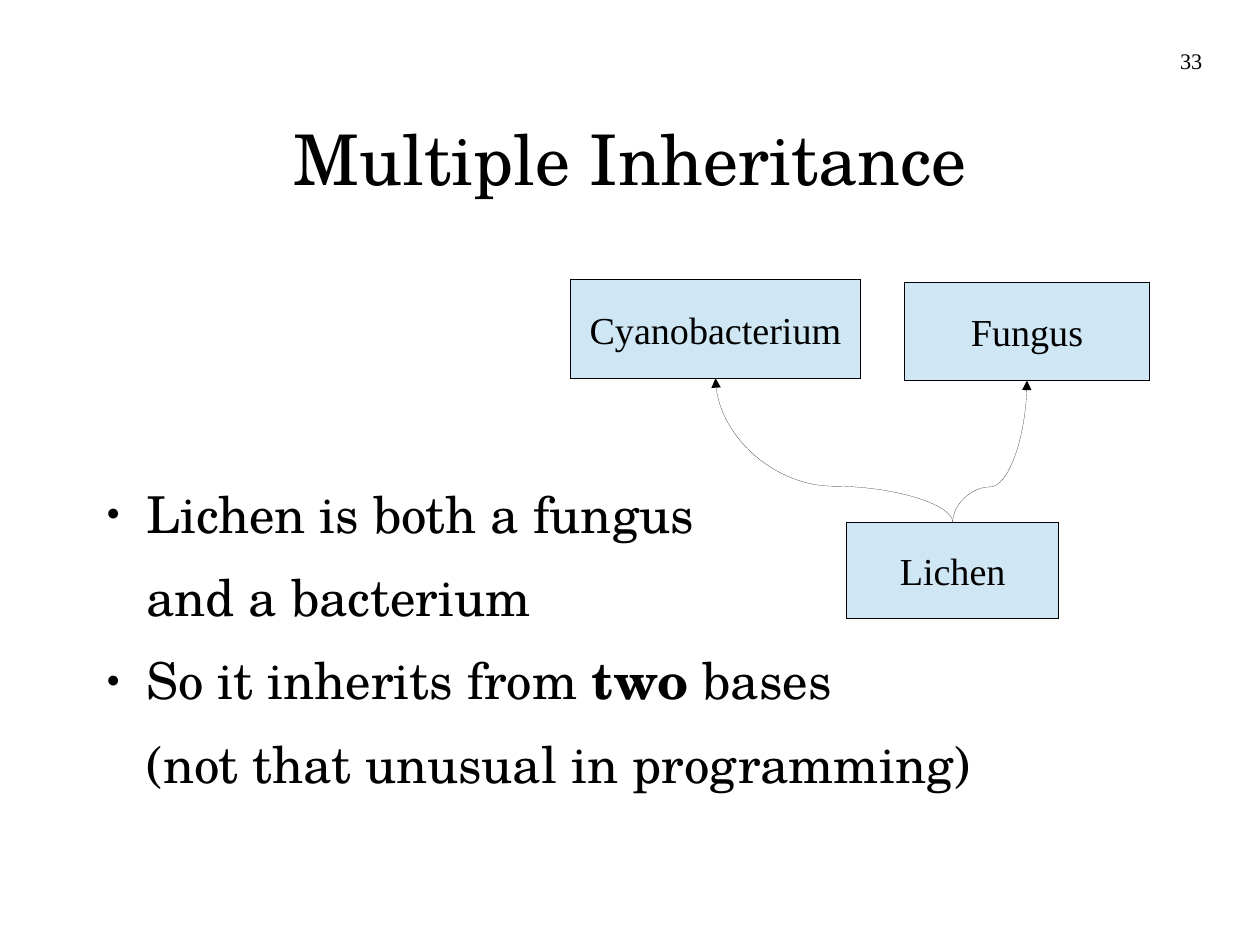
from lxml import etree
from pptx import Presentation
from pptx.dml.color import RGBColor
from pptx.enum import shapes, text
from pptx.oxml import ns
from pptx.util import Inches, Pt

COLORS = {"ink": "000000", "box": "CFE7F5"}
SERIF, SCHOLA = "Times New Roman", "TeX Gyre Schola"
CM_PER_INCH = 2.54
BULLETS = [
    (True, [("Lichen is both a fungus", False)]),
    (False, [("and a bacterium", False)]),
    (True, [("So it inherits from ", False), ("two", True), (" bases", False)]),
    (False, [("(not that unusual in programming)", False)]),
]


def color(name):
    return RGBColor.from_string(COLORS[name])


def add_element(parent, tag, **attributes):
    return etree.SubElement(parent, ns.qn(tag), attributes)


def place(shape, left, top, width, height):
    shape.left, shape.top = Inches(left), Inches(top)
    shape.width, shape.height = Inches(width), Inches(height)


def prepare_frame(shape, anchor=text.MSO_ANCHOR.TOP, wrap=True):
    frame = shape.text_frame
    frame.margin_left = frame.margin_top = frame.margin_right = frame.margin_bottom = 0
    frame.vertical_anchor = anchor
    frame.word_wrap = wrap
    frame.auto_size = text.MSO_AUTO_SIZE.NONE
    return frame


def set_font(paragraph, name, size):
    font = paragraph.font
    font.name, font.size = name, Pt(size)
    font.color.rgb = color("ink")


def write_line(frame, words, name, size, alignment):
    paragraph = frame.paragraphs[0]
    paragraph.text = words
    paragraph.alignment = alignment
    set_font(paragraph, name, size)


def set_hairline(shape):
    """Set the zero width in the XML, as line.width leaves a zero out."""
    shape.line.color.rgb = color("ink")
    line = shape.element.spPr.find(ns.qn("a:ln"))
    line.set("w", "0")
    return line


def set_bullet(paragraph, bulleted):
    """Give the hanging indent, with a small dot or without one."""
    properties = paragraph._p.get_or_add_pPr()
    properties.set("marL", str(Inches(0.47)))
    properties.set("indent", str(Inches(-0.35 if bulleted else 0)))
    if bulleted:
        add_element(add_element(properties, "a:buClr"), "a:srgbClr", val=COLORS["ink"])
        add_element(properties, "a:buSzPct", val="45000")
        add_element(properties, "a:buChar", char="●")
    else:
        add_element(properties, "a:buNone")


def fill_body(body):
    frame = prepare_frame(body)
    for index, (bulleted, runs) in enumerate(BULLETS):
        paragraph = frame.add_paragraph() if index else frame.paragraphs[0]
        set_bullet(paragraph, bulleted)
        paragraph.space_before, paragraph.space_after = Pt(0), Pt(14.1)
        set_font(paragraph, SCHOLA, 32)
        for words, bold in runs:
            run = paragraph.add_run()
            run.text = words
            if bold:
                run.font.bold = True


def add_class_box(slide, label, *bounds):
    box = slide.shapes.add_shape(shapes.MSO_SHAPE.RECTANGLE, *map(Inches, bounds))
    box.shadow.inherit = False
    box.fill.solid()
    box.fill.fore_color.rgb = color("box")
    set_hairline(box)
    frame = prepare_frame(box, text.MSO_ANCHOR.MIDDLE, wrap=False)
    write_line(frame, label, SERIF, 24, text.PP_ALIGN.CENTER)
    return box


def add_inheritance_arrow(slide, child, base):
    """Curve from the top of child up to the bottom of base, turned by 270 degrees."""
    start_x, start_y = child.left + child.width // 2, child.top
    end_x, end_y = base.left + base.width // 2, base.top + base.height
    middle_x, middle_y = (start_x + end_x) // 2, (start_y + end_y) // 2
    rise, shift = (start_y - end_y) // 2, (start_x - end_x) // 2

    arrow = slide.shapes.add_connector(shapes.MSO_CONNECTOR.CURVE, 0, 0, 0, 0)
    arrow.begin_connect(child, 0)
    arrow.end_connect(base, 2)
    arrow.begin_x, arrow.begin_y = middle_x - rise, middle_y + shift
    arrow.end_x, arrow.end_y = middle_x + rise, middle_y - shift
    properties = arrow.element.spPr
    properties.find(ns.qn("a:xfrm")).set("rot", str(270 * 60000))
    adjustments = properties.find(ns.qn("a:prstGeom")).find(ns.qn("a:avLst"))
    add_element(adjustments, "a:gd", name="adj1", fmla="val 25000")

    add_element(set_hairline(arrow), "a:tailEnd", type="triangle")
    add_element(properties, "a:effectLst")


def main():
    presentation = Presentation()
    presentation.slide_width = Inches(28 / CM_PER_INCH)
    presentation.slide_height = Inches(21 / CM_PER_INCH)
    slide = presentation.slides.add_slide(presentation.slide_layouts[1])

    title, body = slide.placeholders
    place(title, 0.81, 0.69, 9.41, 1.38)
    title_frame = prepare_frame(title, text.MSO_ANCHOR.MIDDLE)
    write_line(title_frame, "Multiple Inheritance", SCHOLA, 44, text.PP_ALIGN.CENTER)
    place(body, 0.81, 4.22, 9.41, 3.75)
    fill_body(body)

    cyanobacterium = add_class_box(slide, "Cyanobacterium", 4.99, 2.45, 2.54, 0.86)
    fungus = add_class_box(slide, "Fungus", 7.91, 2.47, 2.15, 0.86)
    lichen = add_class_box(slide, "Lichen", 7.41, 4.57, 1.85, 0.84)
    for base in (cyanobacterium, fungus):
        add_inheritance_arrow(slide, lichen, base)

    number = slide.shapes.add_textbox(*map(Inches, (7.95, 0.41, 2.57, 0.57)))
    write_line(prepare_frame(number), "33", SERIF, 14, text.PP_ALIGN.RIGHT)
    presentation.save("out.pptx")


if __name__ == "__main__":
    main()
